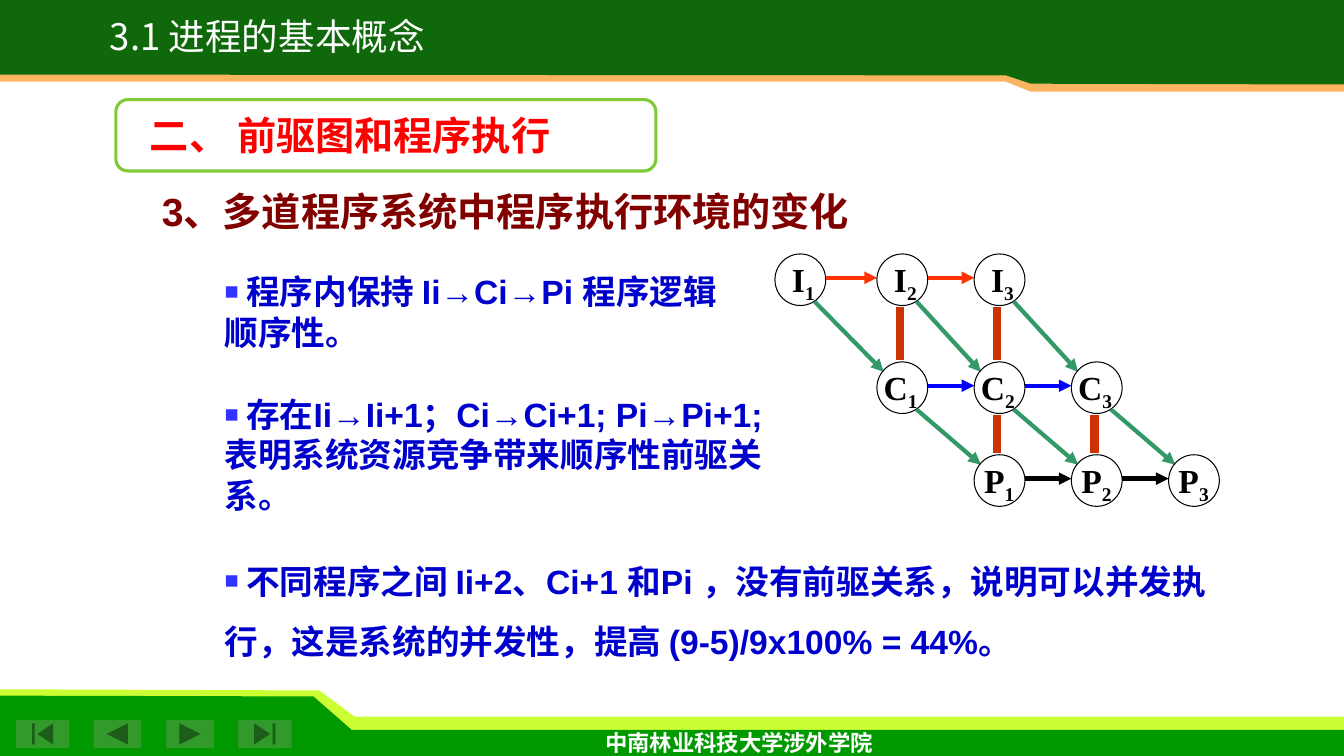
from lxml.etree import SubElement
from pptx import Presentation
from pptx.dml.color import RGBColor
from pptx.enum.shapes import MSO_CONNECTOR, MSO_SHAPE
from pptx.enum.text import MSO_ANCHOR, PP_ALIGN
from pptx.oxml.ns import qn
from pptx.util import Cm, Pt

COLORS = {
    "lime": "CCFF33", "green": "009900", "button": "329A2A", "orange": "FBB561",
    "banner": "0F690B", "frame": "80CB35", "white": "FFFFFF", "black": "000000",
    "red": "FF0000", "maroon": "800000", "navy": "0000CC", "bullet": "3333FF",
    "bar": "CC3300", "diagonal": "339966", "input": "FF3300", "compute": "0000FF",
}
WIDTH, HEIGHT = 33.87, 19.05
CJK = "Noto Sans CJK SC"

TITLE = "3.1 进程的基本概念"
SECTION = "二、 前驱图和程序执行"
HEADING = "3、多道程序系统中程序执行环境的变化"
FOOTER = "中南林业科技大学涉外学院"
POINTS = [
    (" 程序内保持 Ii→Ci→Pi 程序逻辑顺序性。", (5.41, 6.71, 13.06, 2.31), None),
    (" 存在Ii→Ii+1；Ci→Ci+1; Pi→Pi+1; 表明系统资源竞争带来顺序性前驱关系。",
     (5.41, 9.8, 14.76, 3.33), None),
    (" 不同程序之间 Ii+2、Ci+1 和Pi ，没有前驱关系，说明可以并发执行，"
     "这是系统的并发性，提高 (9-5)/9x100% = 44%。", (5.41, 13.49, 25.63, 3.12), 1.5),
]
BANDS = [
    ("lime", [(0, 17.37), (8.05, 17.4), (8.94, 18.06), (WIDTH, 18.06), (WIDTH, 18.8), (0, 18.8)]),
    ("green", [(0, 17.53), (7.9, 17.55), (8.86, 18.39), (WIDTH, 18.39), (WIDTH, HEIGHT), (0, HEIGHT)]),
    ("orange", [(0, 0), (WIDTH, 0), (WIDTH, 2.31), (25.98, 2.31), (25.35, 2.06), (0, 2.06)]),
    ("banner", [(0, 0), (WIDTH, 0), (WIDTH, 2.13), (25.98, 2.11), (25.35, 1.9), (0, 1.88)]),
]
BUTTONS = [
    (MSO_SHAPE.ACTION_BUTTON_BEGINNING, 0.4, 1.35),
    (MSO_SHAPE.ACTION_BUTTON_BACK_OR_PREVIOUS, 2.36, 1.2),
    (MSO_SHAPE.ACTION_BUTTON_FORWARD_OR_NEXT, 4.19, 1.2),
    (MSO_SHAPE.ACTION_BUTTON_END, 6, 1.35),
]
STAGES = [("I", 6.4, 0.18, "input"), ("C", 9.12, -0.08, "compute"), ("P", 11.46, 0, "black")]
COLUMNS = [19.53, 22.1, 24.55, 27, 29.45]
JOBS = 3
NODE_W, NODE_H = 1.28, 1.3


def rgb(name):
    return RGBColor.from_string(COLORS[name])


def write(shape, text, size=24, font="Arial", color="navy", bold=True, align=PP_ALIGN.LEFT,
          spacing=None, indent=0, bullet=False, wrap=True, subscript=None):
    frame = shape.text_frame
    frame.word_wrap = wrap
    paragraph = frame.paragraphs[0]
    paragraph.alignment = align
    if spacing:
        paragraph.line_spacing = spacing
    props = paragraph._p.get_or_add_pPr()
    props.set("marL", "0")
    props.set("indent", str(Cm(indent)))
    if bullet:
        SubElement(SubElement(props, qn("a:buClr")), qn("a:srgbClr"), val=COLORS["bullet"])
        SubElement(props, qn("a:buSzPct"), val="70000")
        SubElement(props, qn("a:buFont"), typeface="Arial")
        SubElement(props, qn("a:buChar"), char="■")
    for part in filter(None, (text, subscript)):
        run = paragraph.add_run()
        run.text = part
        run.font.size, run.font.bold, run.font.name = Pt(size), bold, font
        run.font.color.rgb = rgb(color)
        SubElement(run._r.get_or_add_rPr(), qn("a:ea"), typeface=CJK)
    if subscript:
        run._r.get_or_add_rPr().set("baseline", "-25000")


def text_box(slide, box, text, **fmt):
    write(slide.shapes.add_textbox(*map(Cm, box)), text, **fmt)


def paint(shape, fill=None, line=None, width=0.75):
    shape.shadow.inherit = False
    if fill:
        shape.fill.solid()
        shape.fill.fore_color.rgb = rgb(fill)
    else:
        shape.fill.background()
    if line:
        shape.line.color.rgb = rgb(line)
        shape.line.width = Pt(width)
    else:
        shape.line.fill.background()


def connect(slide, start, end, color, width=3, arrow=True):
    link = slide.shapes.add_connector(MSO_CONNECTOR.STRAIGHT, *map(Cm, start + end))
    link.line.color.rgb = rgb(color)
    link.line.width = Pt(width)
    if arrow:
        SubElement(link.line._get_or_add_ln(), qn("a:tailEnd"), type="triangle")
    SubElement(link._element.spPr, qn("a:effectLst"))


def draw_decoration(slide):
    for color, corners in BANDS:
        outline = [(Cm(x), Cm(y)) for x, y in corners]
        builder = slide.shapes.build_freeform(*outline[0])
        builder.add_line_segments(outline[1:], close=True)
        paint(builder.convert_to_shape(), fill=color)
    for kind, left, width in BUTTONS:
        paint(slide.shapes.add_shape(kind, *map(Cm, (left, 18.14, width, 0.71))), fill="button")
    text_box(slide, (14.96, 18.24, 7.34, 0.94), FOOTER, size=16, font="Karla",
             color="white", align=PP_ALIGN.CENTER, wrap=False)


def draw_graph(slide):
    for row, (letter, top, label_shift, color) in enumerate(STAGES):
        for job in range(JOBS):
            left = COLUMNS[row + job]
            node = slide.shapes.add_shape(MSO_SHAPE.OVAL, *map(Cm, (left, top, NODE_W, NODE_H)))
            paint(node, line="black")
            text_box(slide, (left + label_shift, top, 1.58, 1.37), letter, wrap=False,
                     font="Times New Roman", color="black", subscript=str(job + 1))
            if job < JOBS - 1:
                middle = top + NODE_H / 2 - 0.05
                connect(slide, (left + NODE_W, middle), (COLUMNS[row + job + 1], middle), color)
            if row < len(STAGES) - 1:
                below = STAGES[row + 1][1]
                connect(slide, (left + 1, top + 1.2),
                        (COLUMNS[row + job + 1] + 0.17, below + 0.25), "diagonal")
                if job:
                    center = left + NODE_W / 2 - 0.06
                    connect(slide, (center, top + NODE_H + 0.04), (center, below - 0.04),
                            "bar", width=6, arrow=False)


def main():
    deck = Presentation()
    deck.slide_width, deck.slide_height = Cm(WIDTH), Cm(HEIGHT)
    slide = deck.slides.add_slide(deck.slide_layouts[5])
    draw_decoration(slide)

    for text, box, spacing in POINTS:
        text_box(slide, box, text, spacing=spacing, bullet=True)
    draw_graph(slide)

    section = slide.shapes.add_shape(MSO_SHAPE.ROUNDED_RECTANGLE, *map(Cm, (2.92, 2.51, 13.61, 1.8)))
    section.adjustments[0] = 0.17
    paint(section, fill="white", line="frame", width=2.25)
    text_box(slide, (3.53, 2.67, 14.6, 1.45), SECTION, size=28, font="Times New Roman", color="red")
    text_box(slide, (3.56, 4.72, 18.21, 1.32), HEADING, size=28, color="maroon",
             spacing=0.9, indent=0.27)

    title = slide.shapes.title
    title.left, title.top, title.width, title.height = map(Cm, (1.24, 0.41, 11, 1.17))
    title.text_frame.vertical_anchor = MSO_ANCHOR.MIDDLE
    write(title, TITLE, size=26.1, font=CJK, color="white", bold=False,
          align=PP_ALIGN.CENTER, spacing=0.8)
    slide.shapes._spTree.append(title._element)
    deck.save("out.pptx")


if __name__ == "__main__":
    main()
